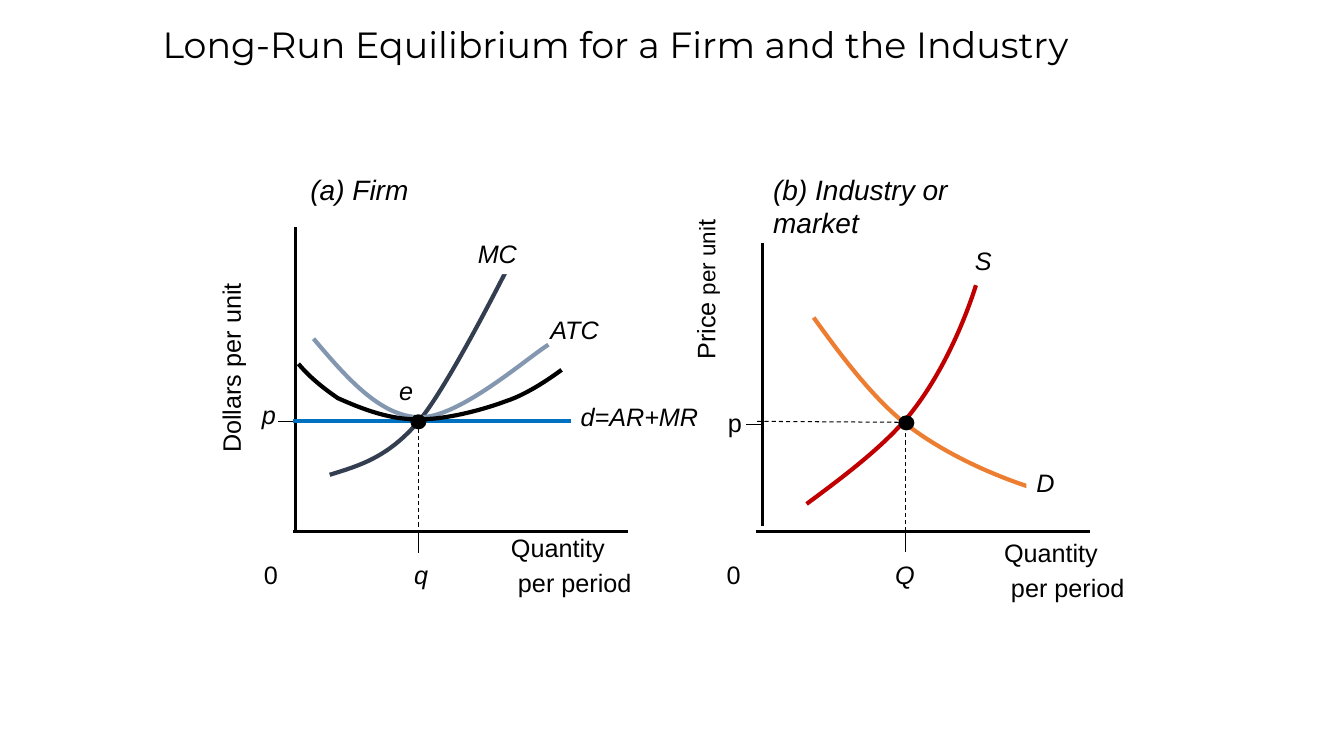
from pptx import Presentation
from pptx.dml.color import RGBColor
from pptx.enum.dml import MSO_LINE
from pptx.enum.shapes import MSO_CONNECTOR, MSO_SHAPE
from pptx.enum.text import MSO_AUTO_SIZE, PP_ALIGN
from pptx.oxml.ns import qn
from pptx.util import Inches, Pt
from lxml import etree

COLORS = {k: RGBColor.from_string(v) for k, v in {
    "black": "000000", "white": "FFFFFF", "demand": "0070C0", "mc": "333F50",
    "atc": "8497B0", "S": "C00000", "D": "ED7D31"}.items()}

prs = Presentation()
prs.slide_width, prs.slide_height = Inches(13.33), Inches(7.5)
s = prs.slides.add_slide(prs.slide_layouts[6])


def add_line(x1, y1, x2, y2, width, color="black", dashed=False):
    c = s.shapes.add_connector(MSO_CONNECTOR.STRAIGHT, Inches(x1), Inches(y1),
                               Inches(x2), Inches(y2))
    c.line.color.rgb = COLORS[color]
    c.line.width = Pt(width)
    if dashed:
        c.line.dash_style = MSO_LINE.DASH
    etree.SubElement(c._element.spPr, qn("a:effectLst"))


def add_label(text, x, y, w, h=0.4, size=18, italic=False, wrap=False,
              font="Arial", rotation=0, filled=False):
    tb = s.shapes.add_textbox(Inches(x), Inches(y), Inches(w), Inches(h))
    tb.rotation = rotation
    if filled:
        tb.fill.solid()
        tb.fill.fore_color.rgb = COLORS["white"]
    tf = tb.text_frame
    tf.word_wrap = wrap
    tf.auto_size = MSO_AUTO_SIZE.SHAPE_TO_FIT_TEXT
    tf.text = text
    for i, p in enumerate(tf.paragraphs):
        if i:
            p.space_before = Pt(3.6)
        for r in p.runs:
            r.font.name, r.font.size, r.font.italic = font, Pt(size), italic
            r.font.color.rgb = COLORS["black"]
    return tf


# Axes, ticks, guides and the firm's demand line
for x1, y1, x2, y2, width in [
        (2.91, 5.27, 6.23, 5.27, 2.25), (2.93, 2.25, 2.93, 5.26, 2.25),
        (7.5, 5.27, 10.81, 5.27, 2.25), (7.56, 2.41, 7.56, 5.22, 2.25),
        (4.15, 5.27, 4.15, 5.49, 0.75), (2.93, 4.18, 2.76, 4.18, 0.75),
        (8.98, 5.27, 8.98, 5.48, 0.75), (7.56, 4.21, 7.4, 4.21, 0.75)]:
    add_line(x1, y1, x2, y2, width)
add_line(5.66, 4.18, 2.91, 4.18, 3, "demand")
for guide in [(4.15, 4.18, 4.15, 5.26), (8.98, 5.27, 8.98, 4.17),
              (7.51, 4.18, 8.99, 4.19)]:
    add_line(*guide, 0.75, dashed=True)

# Curves: each list is a start point, then three Bézier points per piece
curves = [
    ("mc", [(3.27, 4.71), (3.56, 4.62), (3.85, 4.54), (4.16, 4.17),
            (4.47, 3.8), (5.12, 2.49), (5.12, 2.49)]),
    ("atc", [(3.11, 3.36), (3.44, 3.75), (3.77, 4.13), (4.16, 4.14),
             (4.55, 4.15), (5.23, 3.55), (5.44, 3.42)]),
    ("S", [(8, 5), (8.28, 4.79), (8.77, 4.44), (9.05, 4.08),
           (9.33, 3.72), (9.55, 3.24), (9.68, 2.83)]),
    ("D", [(8.07, 3.15), (8.28, 3.44), (8.63, 3.93), (8.99, 4.21),
           (9.35, 4.49), (9.83, 4.71), (10.24, 4.84)]),
    ("black", [(2.96, 3.61), (3.06, 3.73), (3.19, 3.84), (3.35, 3.95),
               (3.55, 4.04), (3.84, 4.16), (4.12, 4.16),
               (4.4, 4.17), (4.78, 4.07), (5.02, 3.98),
               (5.27, 3.9), (5.57, 3.67), (5.57, 3.67)]),
]
for color, pts in curves:
    points = [(Inches(x), Inches(y)) for x, y in pts]
    fb = s.shapes.build_freeform(*points[0])
    fb.add_line_segments(points[1:], close=False)
    curve = fb.convert_to_shape()
    curve.shadow.inherit = False
    curve.fill.background()
    curve.line.color.rgb = COLORS[color]
    curve.line.width = Pt(3)
    # Join every three straight segments into one Bézier piece
    segments = list(curve._element.iter(qn("a:lnTo")))
    outline = segments[0].getparent()
    for i in range(0, len(segments), 3):
        piece = etree.SubElement(outline, qn("a:cubicBezTo"))
        for segment in segments[i:i + 3]:
            piece.append(segment[0])
            outline.remove(segment)

# Title and panel headings
title = add_label("Long-Run Equilibrium for a Firm and the Industry",
                  0.55, 0.17, 11.12, 0.54, 26, wrap=True, font="Montserrat")
title.paragraphs[0].alignment = PP_ALIGN.CENTER
add_label("(a) Firm", 2.98, 1.66, 1.25, 0.43, 20, italic=True, wrap=True)
add_label("(b) Industry or market", 7.57, 1.66, 2.8, 0.43, 20, italic=True, wrap=True)

# Curve names
for text, x, y, w in [("MC", 4.64, 2.32, 0.59), ("S", 9.57, 2.38, 0.37),
                      ("D", 10.18, 4.59, 0.38)]:
    add_label(text, x, y, w, italic=True, filled=True)
for text, x, y, w in [("ATC", 5.36, 3.07, 0.7), ("d=AR+MR", 5.66, 3.93, 1.38),
                      ("e", 3.86, 3.67, 0.34), ("p", 2.5, 3.91, 0.34),
                      ("q", 4.01, 5.5, 0.34), ("Q", 8.78, 5.5, 0.4)]:
    add_label(text, x, y, w, italic=True)

# Axis labels
add_label("p", 7.12, 3.99, 0.34, 0.38)
for x in (2.52, 7.11):
    add_label("0", x, 5.5, 0.34)
for x, y in [(4.97, 5.23), (9.86, 5.28)]:
    add_label("Quantity\n per period", x, y, 1.4, 0.76)
add_label("Dollars per unit", 1.35, 3.45, 1.88, rotation=270)
price = add_label("Price ", 6.05, 2.52, 1.89, wrap=True, rotation=270)
for text, size in [("per uni", 16), ("t", 18)]:
    r = price.paragraphs[0].add_run()
    r.text = text
    r.font.name, r.font.size = "Arial", Pt(size)
    r.font.color.rgb = COLORS["black"]

# Equilibrium points
for x, y in [(4.07, 4.11), (8.91, 4.12)]:
    dot = s.shapes.add_shape(MSO_SHAPE.OVAL, Inches(x), Inches(y), Inches(0.16), Inches(0.15))
    dot.shadow.inherit = False
    dot.fill.solid()
    dot.fill.fore_color.rgb = COLORS["black"]
    dot.line.fill.background()

prs.save("out.pptx")
